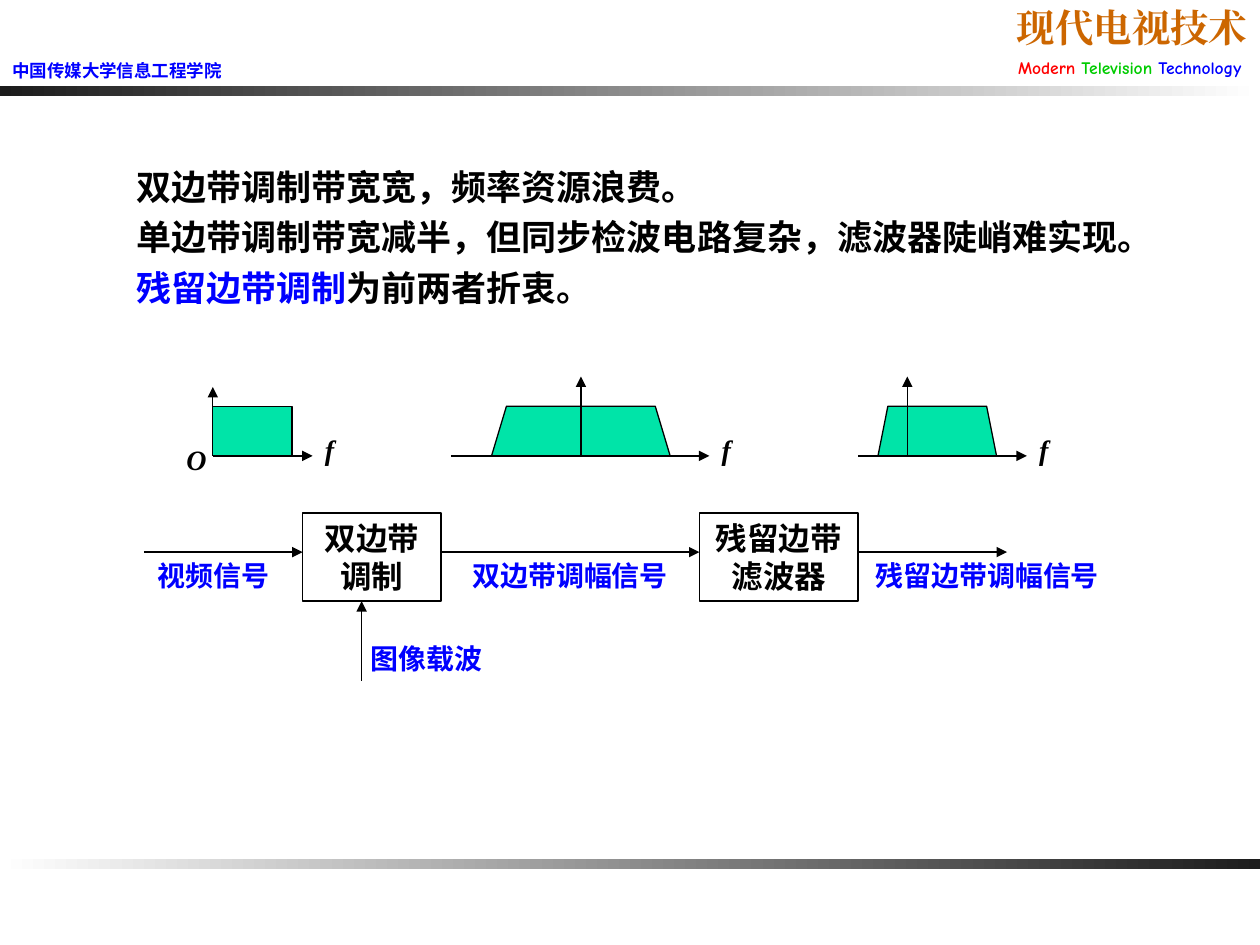
from lxml import etree
from pptx import Presentation
from pptx.dml.color import RGBColor
from pptx.enum.shapes import MSO_CONNECTOR, MSO_SHAPE
from pptx.enum.text import MSO_ANCHOR, MSO_AUTO_SIZE, PP_ALIGN
from pptx.oxml.ns import qn
from pptx.util import Cm, Pt

LINE = MSO_CONNECTOR.STRAIGHT
RECT = MSO_SHAPE.RECTANGLE
TOP = MSO_ANCHOR.TOP
BOTTOM = MSO_ANCHOR.BOTTOM
FIXED = MSO_AUTO_SIZE.NONE
LEFT = PP_ALIGN.LEFT
CENTER = PP_ALIGN.CENTER
RIGHT = PP_ALIGN.RIGHT

BLACK = RGBColor(0, 0, 0)
WHITE = RGBColor(0xFF, 0xFF, 0xFF)
DARK = RGBColor(0x1C, 0x1C, 0x1C)
BLUE = RGBColor(0, 0, 0xFF)
RED = RGBColor(0xFF, 0, 0)
LIME = RGBColor(0, 0xCC, 0)
ORANGE = RGBColor(0xCC, 0x66, 0)
GREEN = RGBColor(0, 0xE4, 0xA8)

SANS = "Quicksand"
SERIF = "Times New Roman"
COMIC = "Comic Neue"

BASE = 9.19
CREST = 8.19
FLOW = 11.13
BOX_TOP = 10.34
BOX_TALL = 1.78


def style(run, size, color, face=SANS, bold=True, italic=False):
    font = run.font
    font.size, font.bold, font.italic = Pt(size), bold, italic
    font.name, font.color.rgb = face, color
    props = run._r.get_or_add_rPr()
    props.find(qn("a:latin")).addnext(props.makeelement(qn("a:ea"), {"typeface": face}))


def place(shape, x, y, wide, tall):
    shape.left, shape.top = Cm(x), Cm(y)
    shape.width, shape.height = Cm(wide), Cm(tall)


def setup(frame, anchor=TOP):
    frame.word_wrap = True
    frame.auto_size = FIXED
    frame.vertical_anchor = anchor


def write(shape, text, size, color, align=LEFT, face=SANS, italic=False):
    frame = shape.text_frame
    setup(frame)
    frame.text = text
    para = frame.paragraphs[0]
    para.alignment = align
    style(para.runs[0], size, color, face, italic=italic)


def add_text(slide, x, y, wide, text, size, color, align=LEFT, **look):
    shape = slide.shapes.add_textbox(Cm(x), Cm(y), Cm(wide), Cm(0.94))
    write(shape, text, size, color, align, **look)


def add_mark(slide, x, y, wide, text):
    add_text(slide, x, y, wide, text, 16, BLACK, face=SERIF, italic=True)


def outline(shape):
    shape.shadow.inherit = False
    shape.line.color.rgb = BLACK
    shape.line.width = Pt(0.75)


def add_arrow(slide, x1, y1, x2, y2):
    arrow = slide.shapes.add_connector(LINE, Cm(x1), Cm(y1), Cm(x2), Cm(y2))
    arrow.line.color.rgb = BLACK
    arrow.line.width = Pt(0.75)
    stroke = arrow.line._get_or_add_ln()
    etree.SubElement(stroke, qn("a:tailEnd"), type="triangle")
    etree.SubElement(arrow._element.spPr, qn("a:effectLst"))


def add_bar(slide, y, start, end):
    bar = slide.shapes.add_shape(RECT, 0, Cm(y), Cm(25.4), Cm(0.2))
    bar.shadow.inherit = False
    bar.line.fill.background()
    bar.fill.gradient()
    bar.fill.gradient_angle = 0
    for stop, color in zip(bar.fill.gradient_stops, (start, end)):
        stop.color.rgb = color


def add_box(slide, x, wide, text):
    box = slide.shapes.add_shape(RECT, Cm(x), Cm(BOX_TOP), Cm(wide), Cm(BOX_TALL))
    box.fill.background()
    outline(box)
    write(box, text, 18, BLACK, CENTER)


def add_band(slide, low, high, slope):
    if slope:
        rise, fall = slope
        path = slide.shapes.build_freeform(Cm(low), Cm(BASE))
        points = [(high, BASE), (high - fall, CREST), (low + rise, CREST)]
        path.add_line_segments([(Cm(x), Cm(y)) for x, y in points])
        band = path.convert_to_shape()
    else:
        band = slide.shapes.add_shape(RECT, Cm(low), Cm(CREST), Cm(high - low), Cm(BASE - CREST))
    band.fill.solid()
    band.fill.fore_color.rgb = GREEN
    outline(band)


def add_graph(slide, start, end, zero, peak, low, high, slope=None):
    add_band(slide, low, high, slope)
    add_arrow(slide, zero, BASE, zero, peak)
    add_arrow(slide, start, BASE, end, BASE)
    add_mark(slide, end, 8.59, 0.81, "f")


def fill_title(title):
    place(title, 17.5, 0.66, 7.9, 1.07)
    frame = title.text_frame
    setup(frame, BOTTOM)
    frame.text = "现代电视技术"
    style(frame.paragraphs[0].runs[0], 22, ORANGE, SERIF)
    second = frame.add_paragraph()
    for text, color in (("Modern ", RED), ("Television ", LIME), ("Technology", BLUE)):
        run = second.add_run()
        run.text = text
        style(run, 10, color, COMIC)
    gap = second.add_run()
    gap.text = " "
    style(gap, 14, BLACK, SERIF, False)
    for para in frame.paragraphs:
        para.alignment = RIGHT


def fill_body(body):
    place(body, 2.49, 3.2, 20.6, 3.15)
    frame = body.text_frame
    setup(frame)
    lines = (
        [("双边带调制带宽宽，频率资源浪费。", BLACK)],
        [("单边带调制带宽减半，但同步检波电路复杂，滤波器陡峭难实现。", BLACK)],
        [("残留边带调制", BLUE), ("为前两者折衷。", BLACK)],
    )
    for i, parts in enumerate(lines):
        para = frame.add_paragraph() if i else frame.paragraphs[0]
        para.space_before = Pt(5)
        props = para._p.get_or_add_pPr()
        props.set("marL", "0")
        props.set("indent", "0")
        etree.SubElement(props, qn("a:buNone"))
        for text, color in parts:
            run = para.add_run()
            run.text = text
            style(run, 20, color)


def main():
    deck = Presentation()
    deck.slide_width, deck.slide_height = Cm(25.4), Cm(19.05)
    slide = deck.slides.add_slide(deck.slide_layouts[1])

    add_bar(slide, 1.73, DARK, WHITE)
    add_bar(slide, 17.32, WHITE, DARK)
    fill_title(slide.shapes.title)
    fill_body(slide.placeholders[1])
    add_text(slide, 0, 1.09, 5.11, "中国传媒大学信息工程学院", 10, BLUE)

    add_graph(slide, 4.29, 6.3, 4.29, 7.8, 4.29, 5.89)
    add_graph(slide, 9.09, 14.3, 11.71, 7.59, 9.91, 13.51, (0.3, 0.3))
    add_graph(slide, 17.3, 20.7, 18.29, 7.59, 17.7, 20.09, (0.2, 0.2))
    add_mark(slide, 3.51, 8.79, 1.19, "O")

    add_box(slide, 6.1, 2.79, "双边带调制")
    add_box(slide, 14.1, 3.2, "残留边带滤波器")
    for start, end in ((2.9, 6.1), (8.89, 14.1), (17.3, 20.3)):
        add_arrow(slide, start, FLOW, end, FLOW)
    add_arrow(slide, 7.29, 13.72, 7.29, BOX_TOP + BOX_TALL)

    for x, text in ((1.7, "视频信号"), (8.89, "双边带调幅信号"), (17.3, "残留边带调幅信号")):
        add_text(slide, x, FLOW, 5.21, text, 16, BLUE, CENTER)
    add_text(slide, 6.71, 12.8, 3.78, "图像载波", 16, BLUE, CENTER)

    deck.save("out.pptx")


if __name__ == "__main__":
    main()
